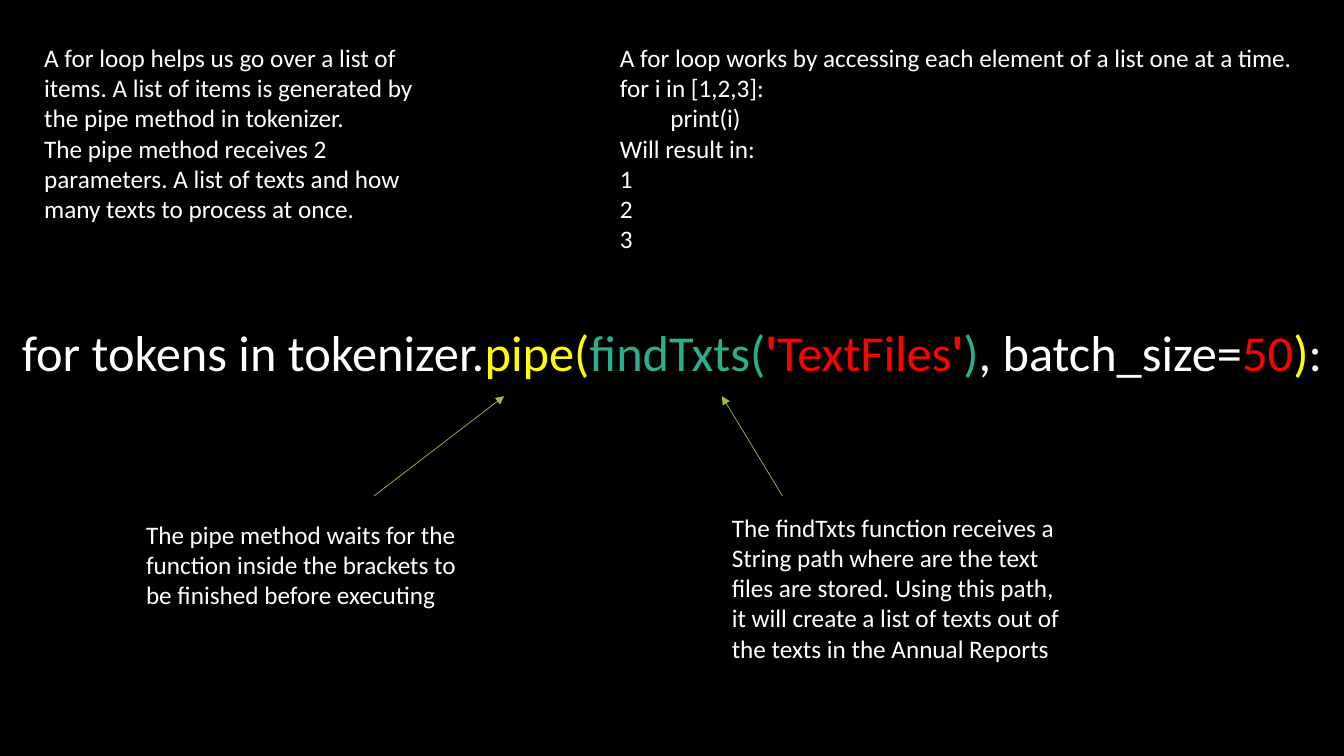
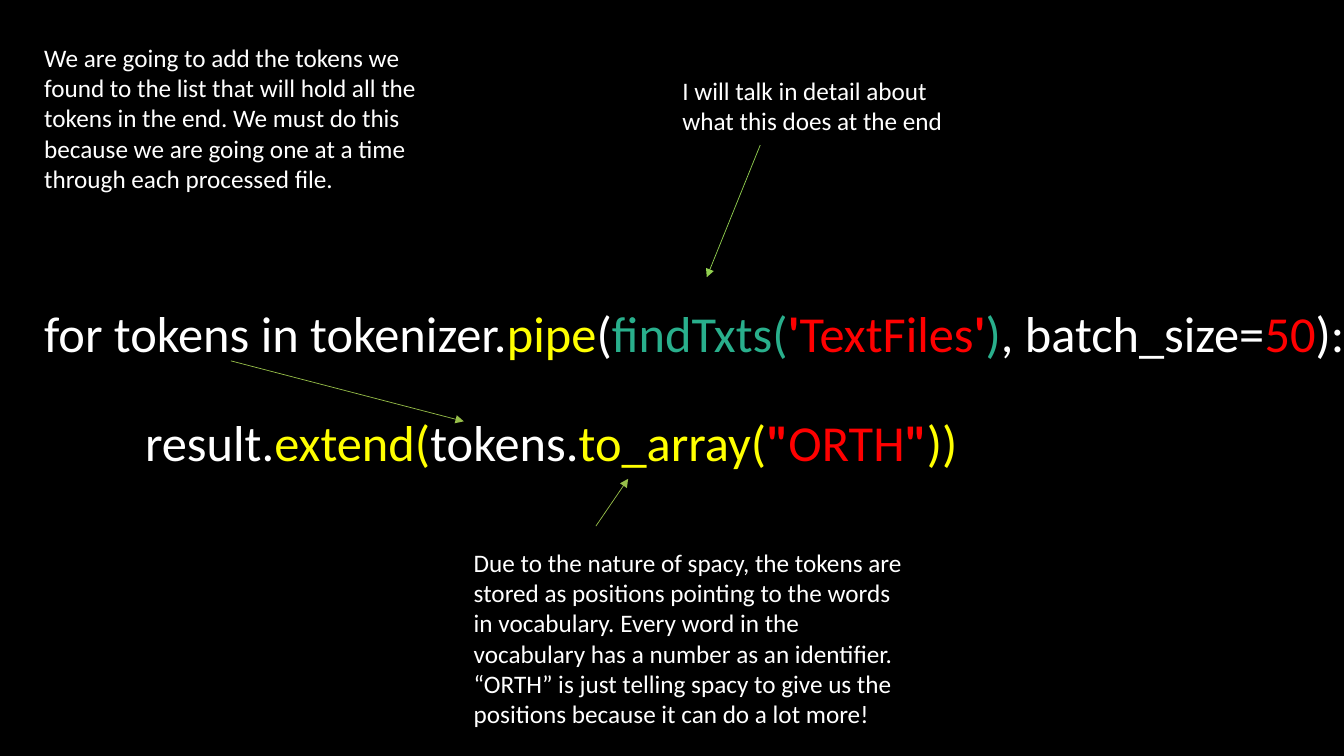
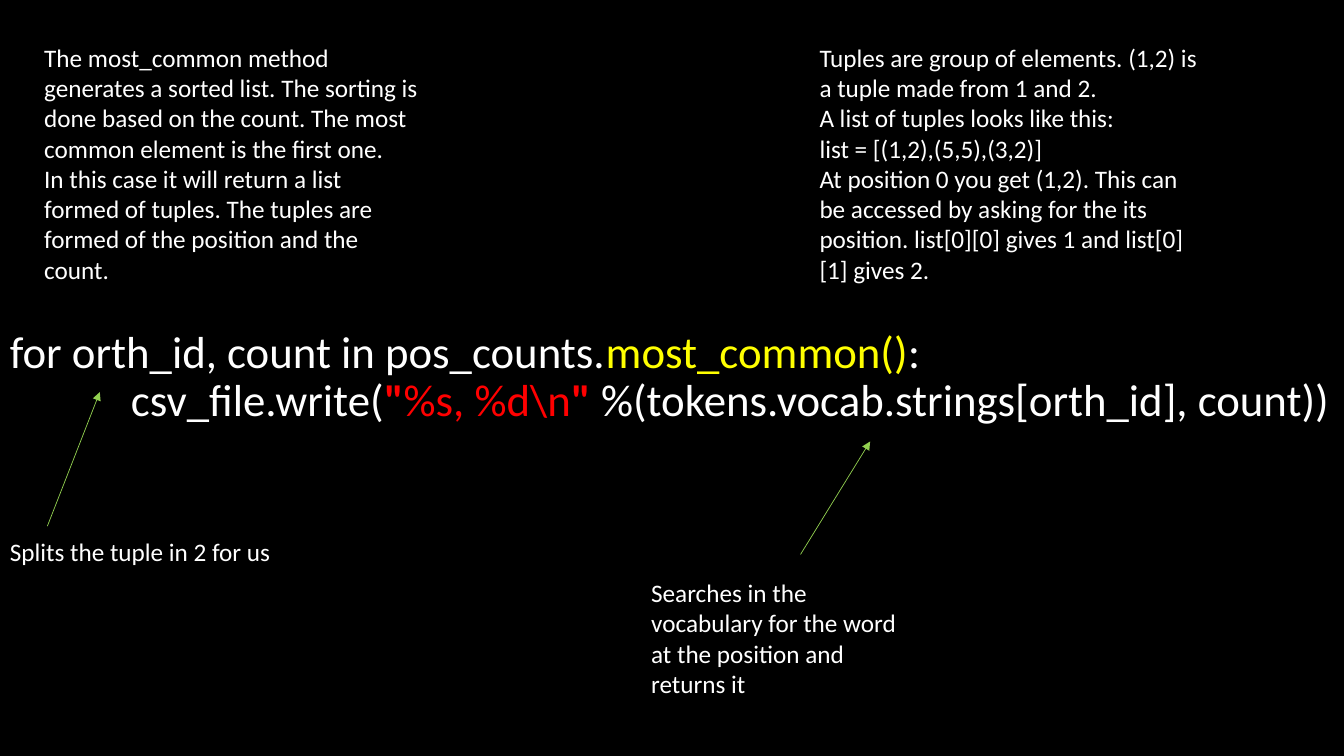
from lxml import etree
from pptx import Presentation
from pptx.dml.color import RGBColor
from pptx.enum.shapes import MSO_CONNECTOR
from pptx.enum.text import MSO_ANCHOR, MSO_AUTO_SIZE, PP_ALIGN
from pptx.oxml.ns import qn
from pptx.util import Pt

PX = 9144
BLACK = RGBColor(0x00, 0x00, 0x00)
WHITE = RGBColor(0xFF, 0xFF, 0xFF)
YELLOW = RGBColor(0xFF, 0xFF, 0x00)
TEAL = RGBColor(0x29, 0xAF, 0x8C)
RED = RGBColor(0xFF, 0x00, 0x00)
OLIVE = RGBColor(0x97, 0xBE, 0x49)
GREEN = RGBColor(0x92, 0xD0, 0x50)
STRAIGHT = MSO_CONNECTOR.STRAIGHT
BOTTOM = MSO_ANCHOR.BOTTOM
GROW = MSO_AUTO_SIZE.SHAPE_TO_FIT_TEXT
FIXED = MSO_AUTO_SIZE.NONE
LEFT = PP_ALIGN.LEFT
CENTER = PP_ALIGN.CENTER


def apply(target, values):
    for name, value in values.items():
        setattr(target, name, value)


class Deck:
    font = "Calibri"
    note_size = 18
    code_spacing = 0.9

    def __init__(self, width, height):
        self.presentation = Presentation()
        apply(self.presentation, {"slide_width": width * PX, "slide_height": height * PX})
        self.slide = None

    def new_slide(self):
        blank = self.presentation.slide_layouts[6]
        self.slide = self.presentation.slides.add_slide(blank)
        fill = self.slide.background.fill
        fill.solid()
        fill.fore_color.rgb = BLACK

    def frame(self, box, values):
        area = self.slide.shapes.add_textbox(*(length * PX for length in box))
        apply(area.text_frame, values)
        return area.text_frame

    def fill_paragraph(self, frame, index, runs, size, indent=0):
        paragraph = frame.add_paragraph() if index else frame.paragraphs[0]
        if indent:
            paragraph._p.get_or_add_pPr().set("marL", str(indent * PX))
        for text, color, bold in runs:
            run = paragraph.add_run()
            run.text = text
            apply(run.font, {"name": self.font, "size": Pt(size), "bold": bold})
            run.font.color.rgb = color
        return paragraph

    def note(self, box, *lines, wrap=True, indents=None):
        frame = self.frame(box, {"word_wrap": wrap, "auto_size": GROW})
        for index, line in enumerate(lines):
            indent = (indents or {}).get(index, 0)
            self.fill_paragraph(frame, index, [(line, WHITE, False)], self.note_size, indent)

    def code(self, box, lines, size, align=LEFT, indent=0, gap=0):
        frame = self.frame(box, {"word_wrap": True, "auto_size": FIXED, "vertical_anchor": BOTTOM})
        for index, runs in enumerate(lines):
            paragraph = self.fill_paragraph(frame, index, runs, size, indent if index else 0)
            apply(paragraph, {
                "alignment": align,
                "line_spacing": self.code_spacing,
                "space_before": Pt(gap if index else 0),
            })

    def arrow(self, start, end, color):
        points = (length * PX for length in (*start, *end))
        pointer = self.slide.shapes.add_connector(STRAIGHT, *points)
        pointer.line.width = Pt(0.5)
        pointer.line.color.rgb = color
        etree.SubElement(pointer.line._get_or_add_ln(), qn("a:tailEnd"), type="triangle")
        etree.SubElement(pointer._element.spPr, qn("a:effectLst"))

    def save(self):
        self.presentation.save("out.pptx")


def code_run(text, color=WHITE):
    return (text, color, False)


def quoted(text, mark):
    return [(mark, RED, True), (text, RED, False), (mark, RED, True)]


def pipe_line(bracket_color):
    return [
        code_run("for tokens in tokenizer."),
        code_run("pipe", YELLOW),
        code_run("(", bracket_color),
        code_run("findTxts(", TEAL),
        *quoted("TextFiles", "'"),
        code_run(")", TEAL),
        code_run(", batch_size="),
        code_run("50", RED),
        code_run(")", bracket_color),
        code_run(":"),
    ]


def pipe_slide(deck):
    deck.new_slide()
    deck.code((0, 311, 1333, 73), [pipe_line(YELLOW)], 36, CENTER)
    deck.note(
        (34, 37, 394, 192),
        "A for loop helps us go over a list of items. A list of items is generated by "
        "the pipe method in tokenizer.",
        "The pipe method receives 2 parameters. A list of texts and how many texts to "
        "process at once.",
    )
    deck.note(
        (135, 510, 332, 101),
        "The pipe method waits for the function inside the brackets to be finished "
        "before executing",
    )
    deck.arrow((371, 492), (500, 393), OLIVE)
    deck.note(
        (716, 503, 349, 162),
        "The findTxts function receives a String path where are the text files are "
        "stored. Using this path, it will create a list of texts out of the texts in "
        "the Annual Reports",
    )
    deck.arrow((776, 492), (716, 393), OLIVE)
    deck.note(
        (605, 37, 695, 222),
        "A for loop works by accessing each element of a list one at a time.",
        "for i in [1,2,3]:",
        "print(i)",
        "Will result in:",
        "1",
        "2",
        "3",
        wrap=False,
        indents={2: 50},
    )


def extend_slide(deck):
    deck.new_slide()
    extend_line = [
        code_run("result."),
        code_run("extend(", YELLOW),
        code_run("tokens."),
        code_run("to_array(", YELLOW),
        *quoted("ORTH", '"'),
        code_run("))", YELLOW),
    ]
    deck.code((34, 275, 1333, 199), [pipe_line(WHITE), extend_line], 36, indent=100, gap=39.5)
    deck.note(
        (34, 37, 394, 162),
        "We are going to add the tokens we found to the list that will hold all the "
        "tokens in the end. We must do this because we are going one at a time through "
        "each processed file.",
    )
    deck.arrow((229, 358), (460, 418), OLIVE)
    deck.note(
        (460, 538, 448, 192),
        "Due to the nature of spacy, the tokens are stored as positions pointing to the "
        "words in vocabulary. Every word in the vocabulary has a number as an "
        "identifier. “ORTH” is just telling spacy to give us the positions because it "
        "can do a lot more!",
    )
    deck.arrow((591, 522), (623, 475), OLIVE)
    deck.arrow((754, 144), (701, 275), GREEN)
    deck.note((667, 70, 281, 71), "I will talk in detail about what this does at the end")


def most_common_slide(deck):
    deck.new_slide()
    loop_line = [
        code_run("for orth_id, count in pos_counts."),
        code_run("most_common()", YELLOW),
        code_run(":"),
    ]
    write_line = [
        code_run("csv_file.write("),
        *quoted("%s, %d\\n", '"'),
        code_run(" %(tokens.vocab.strings[orth_id], count))"),
    ]
    deck.code((0, 311, 1333, 117), [loop_line, write_line], 32, indent=120)
    deck.note(
        (34, 37, 394, 252),
        "The most_common method generates a sorted list. The sorting is done based on "
        "the count. The most common element is the first one.",
        "In this case it will return a list formed of tuples. The tuples are formed of "
        "the position and the count.",
    )
    deck.note(
        (803, 37, 404, 252),
        "Tuples are group of elements. (1,2) is a tuple made from 1 and 2.",
        "A list of tuples looks like this:",
        "list = [(1,2),(5,5),(3,2)]",
        "At position 0 you get (1,2). This can be accessed by asking for the its "
        "position. list[0][0] gives 1 and list[0][1] gives 2.",
    )
    deck.arrow((47, 522), (99, 389), GREEN)
    deck.note((0, 527, 282, 40), "Splits the tuple in 2 for us", wrap=False)
    deck.arrow((794, 550), (863, 438), GREEN)
    deck.note(
        (636, 568, 282, 131),
        "Searches in the vocabulary for the word at the position and returns it",
    )


def main():
    deck = Deck(1333, 750)
    for build in (pipe_slide, extend_slide, most_common_slide):
        build(deck)
    deck.save()


if __name__ == "__main__":
    main()
